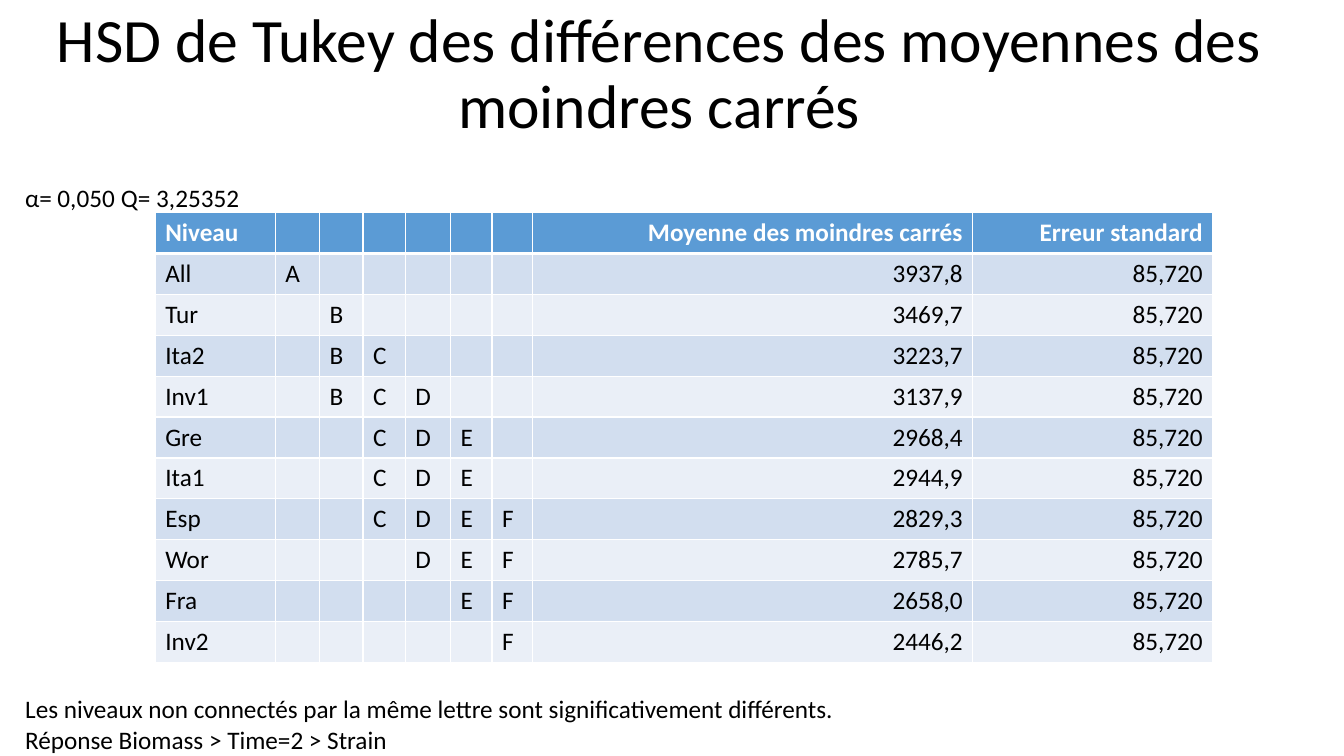
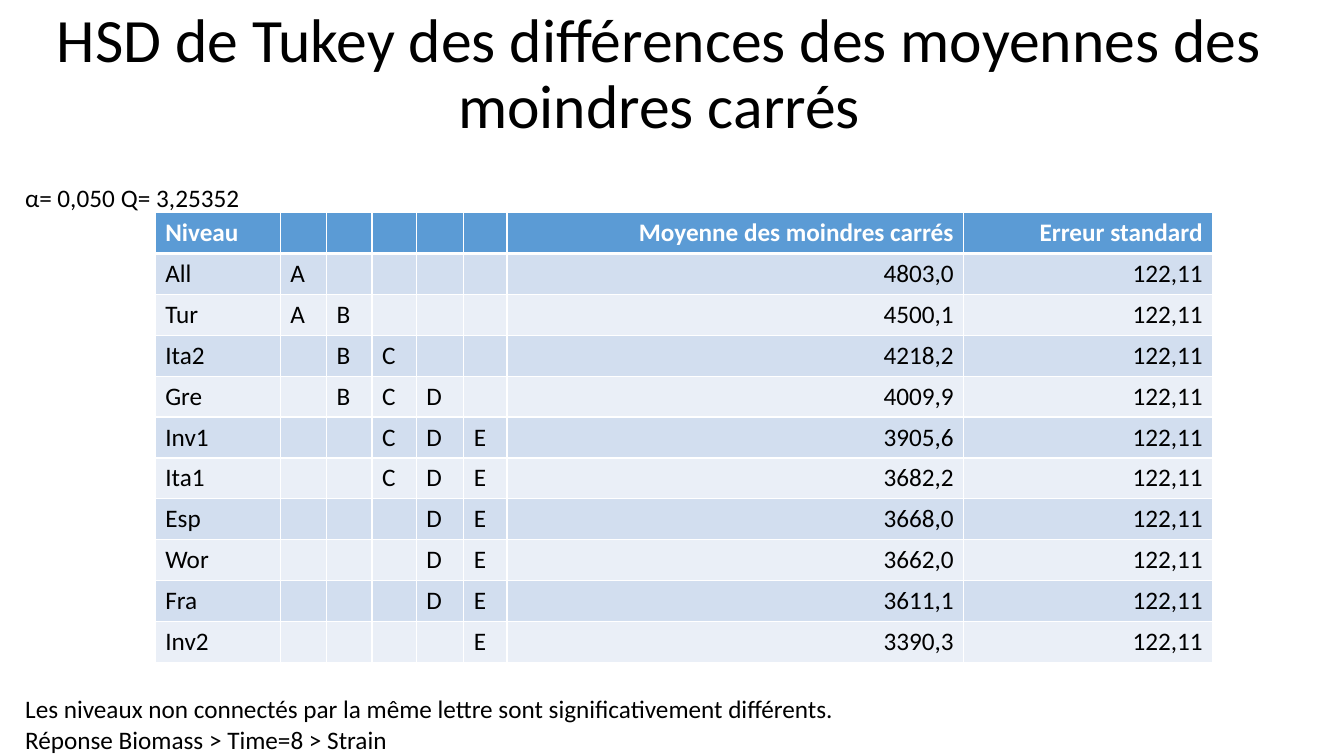
from lxml.etree import SubElement
from pptx import Presentation
from pptx.dml.color import RGBColor
from pptx.enum.text import MSO_ANCHOR as Anchor, MSO_AUTO_SIZE as AutoSize, PP_ALIGN as Align
from pptx.oxml.ns import qn
from pptx.util import Inches, Pt

WHITE = RGBColor(0xFF, 0xFF, 0xFF)
BLACK = RGBColor(0x00, 0x00, 0x00)
HEADER_BLUE = RGBColor(0x5B, 0x9B, 0xD5)
BANDS = (RGBColor(0xD2, 0xDE, 0xEF), RGBColor(0xEA, 0xEF, 0xF7))
FONT = "Calibri"
TITLE = "HSD de Tukey des différences des moyennes des moindres carrés"
NOTE = "Les niveaux non connectés par la même lettre sont significativement différents."
PARAMETERS = (("α=", 0, 0.3), ("0,050", 0.32, 0.61), ("Q=", 0.95, 0.33), ("3,25352", 1.3, 0.9))
LINE_HEIGHT = 0.31
ROW_HEIGHT = 0.4

TUKEY_TESTS = (
    {
        "time": 2,
        "letters": "ABCDEF",
        "error": "85,720",
        "widths": (1.19, 0.44, 0.43, 0.42, 0.45, 0.41, 0.4, 4.37, 2.38),
        "levels": (
            ("All", "A", "3937,8"),
            ("Tur", "B", "3469,7"),
            ("Ita2", "BC", "3223,7"),
            ("Inv1", "BCD", "3137,9"),
            ("Gre", "CDE", "2968,4"),
            ("Ita1", "CDE", "2944,9"),
            ("Esp", "CDEF", "2829,3"),
            ("Wor", "DEF", "2785,7"),
            ("Fra", "EF", "2658,0"),
            ("Inv2", "F", "2446,2"),
        ),
    },
    {
        "time": 8,
        "letters": "ABCDE",
        "error": "122,11",
        "widths": (1.24, 0.46, 0.45, 0.44, 0.47, 0.43, 4.53, 2.47),
        "levels": (
            ("All", "A", "4803,0"),
            ("Tur", "AB", "4500,1"),
            ("Ita2", "BC", "4218,2"),
            ("Gre", "BCD", "4009,9"),
            ("Inv1", "CDE", "3905,6"),
            ("Ita1", "CDE", "3682,2"),
            ("Esp", "DE", "3668,0"),
            ("Wor", "DE", "3662,0"),
            ("Fra", "DE", "3611,1"),
            ("Inv2", "E", "3390,3"),
        ),
    },
)


def write_text(frame, text, size=18, color=BLACK, bold=False, align=Align.LEFT, spacing=None):
    paragraph = frame.paragraphs[0]
    paragraph.alignment = align
    if spacing:
        paragraph.line_spacing = spacing
    run = paragraph.add_run()
    run.text = text
    run.font.name = FONT
    run.font.size = Pt(size)
    run.font.bold = bold
    run.font.color.rgb = color


def add_label(slide, text, left, top, width):
    shape = slide.shapes.add_textbox(Inches(left), Inches(top), Inches(width), Inches(LINE_HEIGHT))
    frame = shape.text_frame
    frame.margin_left = frame.margin_top = frame.margin_right = frame.margin_bottom = 0
    frame.word_wrap = False
    frame.auto_size = AutoSize.NONE
    write_text(frame, text)


def place_title(slide, left, top, width, height):
    title = slide.shapes.title
    title.left, title.top = Inches(left), Inches(top)
    title.width, title.height = Inches(width), Inches(height)
    frame = title.text_frame
    frame.auto_size = AutoSize.NONE
    frame.word_wrap = True
    frame.vertical_anchor = Anchor.MIDDLE
    write_text(frame, TITLE, size=44, align=Align.CENTER, spacing=0.9)


def add_parameters(slide, left, top):
    for text, offset, width in PARAMETERS:
        add_label(slide, text, left + offset, top, width)


def set_borders(cell, top=1, bottom=1):
    properties = cell._tc.get_or_add_tcPr()
    for side, points in (("L", 1), ("R", 1), ("T", top), ("B", bottom)):
        line = SubElement(properties, qn(f"a:ln{side}"), w=str(Pt(points)))
        fill = SubElement(line, qn("a:solidFill"))
        SubElement(fill, qn("a:srgbClr"), val=str(WHITE))


def table_rows(test):
    letters = test["letters"]
    yield ["Niveau", *[""] * len(letters), "Moyenne des moindres carrés", "Erreur standard"]
    for level, groups, mean in test["levels"]:
        marks = [letter if letter in groups else "" for letter in letters]
        yield [level, *marks, mean, test["error"]]


def add_means_table(slide, test, left, top):
    rows = list(table_rows(test))
    widths = test["widths"]
    table = slide.shapes.add_table(
        len(rows), len(widths), Inches(left), Inches(top),
        Inches(sum(widths)), Inches(ROW_HEIGHT * len(rows)),
    ).table
    for column, width in zip(table.columns, widths):
        column.width = Inches(width)
    for row_index, values in enumerate(rows):
        is_header = row_index == 0
        for column_index, value in enumerate(values):
            cell = table.cell(row_index, column_index)
            set_borders(cell, top=3 if row_index == 1 else 1, bottom=3 if is_header else 1)
            cell.fill.solid()
            cell.fill.fore_color.rgb = HEADER_BLUE if is_header else BANDS[(row_index - 1) % 2]
            if value:
                write_text(
                    cell.text_frame, value, bold=is_header,
                    color=WHITE if is_header else BLACK,
                    align=Align.RIGHT if column_index >= len(values) - 2 else Align.LEFT,
                )


def add_footer(slide, time, left, top):
    add_label(slide, NOTE, left, top, 8.15)
    add_label(slide, f"Réponse Biomass > Time={time} > Strain", left, top + LINE_HEIGHT, 3.7)


def add_tukey_slide(presentation, test):
    slide = presentation.slides.add_slide(presentation.slide_layouts[5])
    place_title(slide, 0, 0, 13.08, 1.5)
    add_parameters(slide, 0.25, 1.81)
    add_means_table(slide, test, 1.54, 2.11)
    add_footer(slide, test["time"], 0.25, 6.88)


def main():
    presentation = Presentation()
    presentation.slide_width = Inches(13.33)
    presentation.slide_height = Inches(7.5)
    for test in TUKEY_TESTS:
        add_tukey_slide(presentation, test)
    presentation.save("out.pptx")


if __name__ == "__main__":
    main()
